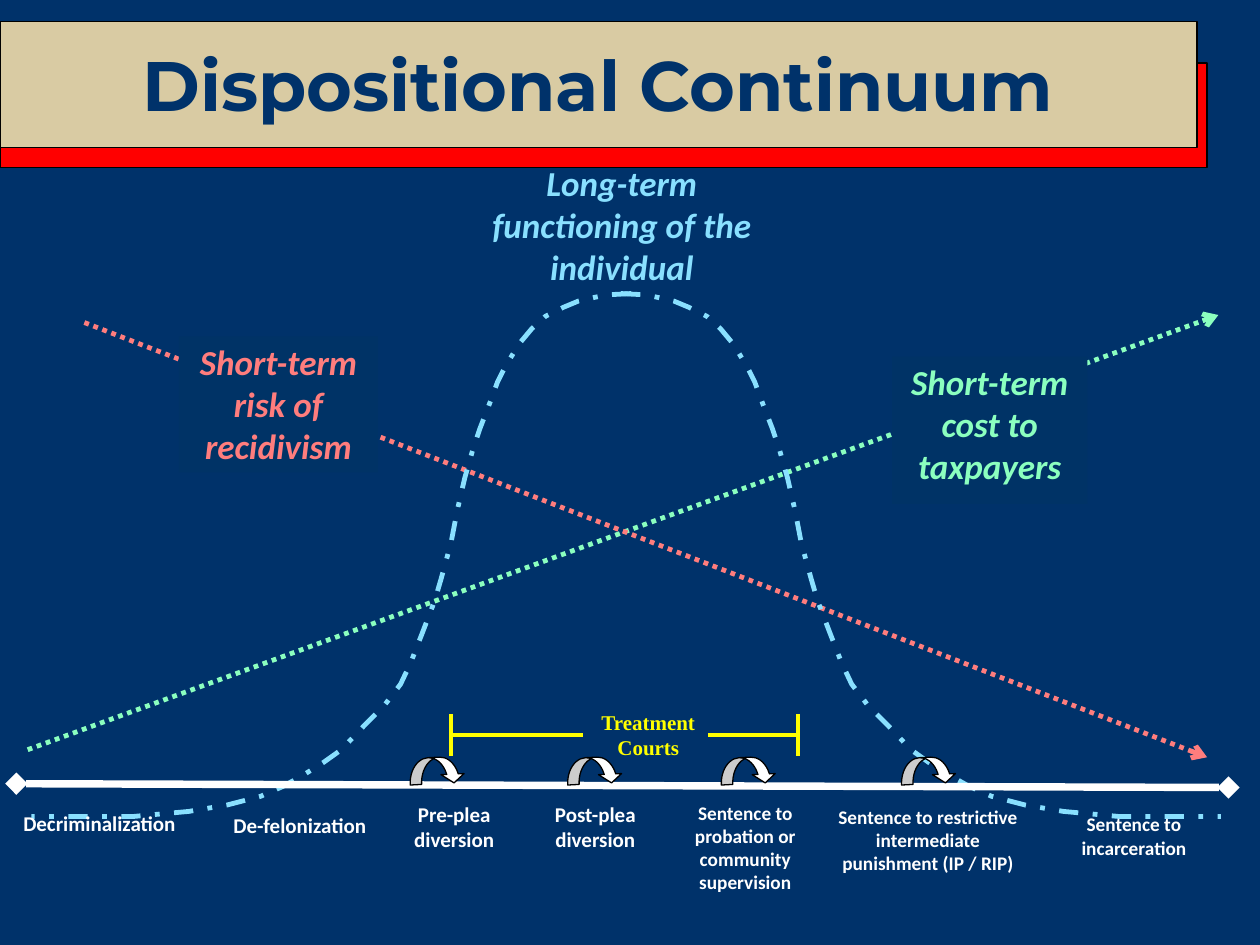
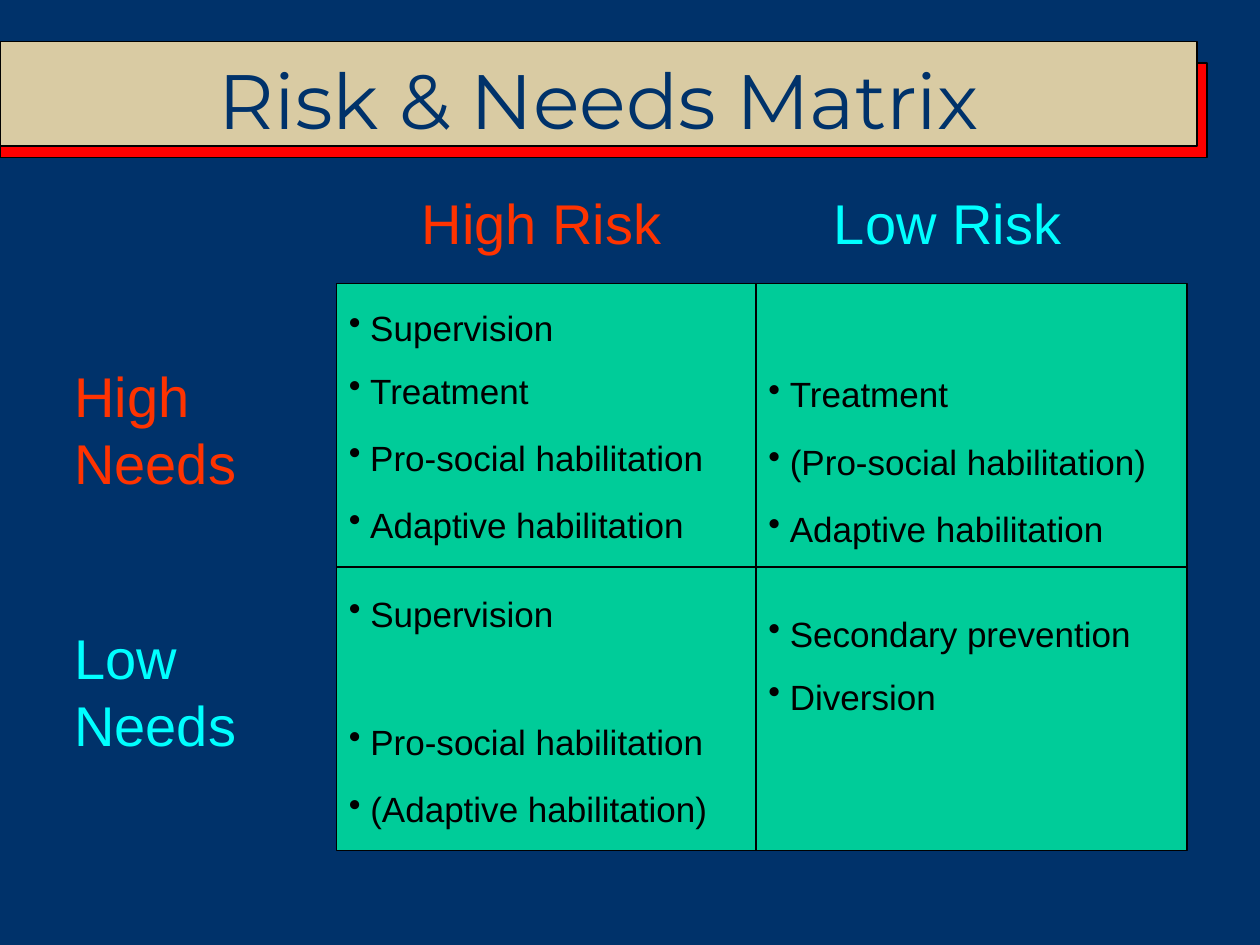
"""Build two slides on the dispositional continuum and the risk and needs matrix."""
from dataclasses import dataclass
from typing import NamedTuple, Optional

from lxml.etree import SubElement
from pptx import Presentation
from pptx.dml.color import RGBColor
from pptx.enum.dml import MSO_LINE
from pptx.enum.shapes import MSO_CONNECTOR, MSO_SHAPE
from pptx.enum.text import MSO_ANCHOR, MSO_AUTO_SIZE, PP_ALIGN
from pptx.oxml.ns import qn
from pptx.util import Inches, Pt

COLORS = {
    "navy": "00326A", "label": "003366", "tan": "D9CBA3", "red": "FF0000",
    "mint": "8BFFBF", "coral": "FF7D7D", "sky": "89E0FF", "yellow": "FFFF00",
    "high": "FF3300", "low": "00FFFF", "green": "00CC99",
    "white": "FFFFFF", "black": "000000",
}


class Area(NamedTuple):
    left: float
    top: float
    width: float
    height: float


class Point(NamedTuple):
    x: float
    y: float


@dataclass
class Style:
    font: str
    size: float
    color: str
    bold: bool = False
    italic: bool = False
    align: PP_ALIGN = PP_ALIGN.LEFT
    margins: tuple[float, float] = (0.1, 0.05)
    wrap: bool = True
    anchor: MSO_ANCHOR = MSO_ANCHOR.TOP


@dataclass
class Label:
    text: str
    area: Area
    style: Style


@dataclass
class Stroke:
    color: str
    width: float
    dash: Optional[MSO_LINE] = None
    head: Optional[str] = None
    tail: Optional[str] = None


@dataclass
class Bullet:
    text: str
    line_spacing: float
    space_before: float = 12


@dataclass
class Quadrant:
    area: Area
    bullets: list[Bullet]


BORDER = Stroke("black", 0.75)
BRACKET = Stroke("yellow", 2.25)
CURVE = Stroke("sky", 2.75, MSO_LINE.DASH_DOT)
TREND_LABEL_MARGINS = (0.07, 0.03)
MATRIX_TEXT = Style("Arial", 20, "black", wrap=False)

CURVE_MIRROR_SUM = 9.94
LEFT_CURVE = [
    Point(*pair) for pair in (
        (5.01, 2.33), (4.82, 2.34), (4.72, 2.36), (4.59, 2.39), (4.47, 2.44),
        (4.33, 2.51), (4.22, 2.61), (4.12, 2.73), (4.01, 2.91), (3.95, 3.03),
        (3.88, 3.22), (3.81, 3.4), (3.75, 3.58), (3.69, 3.79), (3.63, 4.05),
        (3.58, 4.31), (3.5, 4.6), (3.45, 4.77), (3.35, 5.03), (3.26, 5.26),
        (3.18, 5.43), (3.05, 5.6), (2.89, 5.76), (2.71, 5.95), (2.57, 6.05),
        (2.41, 6.15), (2.25, 6.24), (2.07, 6.32), (1.8, 6.39), (1.5, 6.44),
        (1.17, 6.47), (1.06, 6.48), (0.25, 6.48),
    )
]


def rgb(name: str) -> RGBColor:
    return RGBColor.from_string(COLORS[name])


def inches(values: tuple) -> list:
    return [Inches(value) for value in values]


def apply_stroke(line, stroke: Stroke) -> None:
    line.color.rgb = rgb(stroke.color)
    line.width = Pt(stroke.width)
    if stroke.dash is not None:
        line.dash_style = stroke.dash


def write_text(box, text: str, style: Style) -> None:
    frame = box.text_frame
    frame.text = text
    frame.word_wrap = style.wrap
    frame.auto_size = MSO_AUTO_SIZE.NONE if style.wrap else MSO_AUTO_SIZE.SHAPE_TO_FIT_TEXT
    frame.vertical_anchor = style.anchor
    side, edge = inches(style.margins)
    frame.margin_left = frame.margin_right = side
    frame.margin_top = frame.margin_bottom = edge
    for para in frame.paragraphs:
        para.alignment = style.align
        for span in para.runs:
            span.font.name = style.font
            span.font.size = Pt(style.size)
            span.font.bold = style.bold
            span.font.italic = style.italic
            span.font.color.rgb = rgb(style.color)


def add_label(page, label: Label):
    box = page.shapes.add_textbox(*inches(label.area))
    write_text(box, label.text, label.style)
    return box


def add_preset(page, area: Area, fill: str, stroke: Optional[Stroke] = BORDER,
               kind: MSO_SHAPE = MSO_SHAPE.RECTANGLE):
    shape = page.shapes.add_shape(kind, *inches(area))
    shape.shadow.inherit = False
    shape.fill.solid()
    shape.fill.fore_color.rgb = rgb(fill)
    if stroke:
        apply_stroke(shape.line, stroke)
    else:
        shape.line.fill.background()
    return shape


def add_line(page, start: Point, end: Point, stroke: Stroke) -> None:
    connector = page.shapes.add_connector(MSO_CONNECTOR.STRAIGHT, *inches(start + end))
    apply_stroke(connector.line, stroke)
    outline = connector.line._get_or_add_ln()
    for tag, kind in (("a:headEnd", stroke.head), ("a:tailEnd", stroke.tail)):
        if kind:
            SubElement(outline, qn(tag)).set("type", kind)
    SubElement(connector._element.spPr, qn("a:effectLst"))


def add_curve(page, points: list[Point]) -> None:
    vertices = [tuple(inches(point)) for point in points]
    builder = page.shapes.build_freeform(*vertices[0])
    builder.add_line_segments(vertices[1:], close=False)
    curve = builder.convert_to_shape()
    curve.shadow.inherit = False
    curve.fill.background()
    apply_stroke(curve.line, CURVE)


def add_title(page, title: Label, band: Area, red_height: float) -> None:
    add_preset(page, Area(0, 0.5, 9.58, red_height), "red")
    add_preset(page, band, "tan")
    add_label(page, title)


def add_page(deck):
    page = deck.slides.add_slide(deck.slide_layouts[6])
    page.background.fill.solid()
    page.background.fill.fore_color.rgb = rgb("navy")
    return page


def trend_style(color: str) -> Style:
    return Style("Calibri", 20, color, True, True, PP_ALIGN.CENTER, TREND_LABEL_MARGINS)


def build_continuum(deck) -> None:
    page = add_page(deck)
    trends = [
        (Point(0.22, 5.95), Point(9.67, 2.5), "mint",
         "Short-term cost to taxpayers", Area(7.08, 2.83, 1.55, 1.17)),
        (Point(0.67, 2.56), Point(9.58, 6.01), "coral",
         "Short-term risk of recidivism", Area(1.42, 2.67, 1.58, 1.08)),
    ]
    for start, end, color, _, _ in trends:
        add_line(page, start, end, Stroke(color, 2.75, MSO_LINE.ROUND_DOT, tail="arrow"))
    for _, _, color, text, area in trends:
        write_text(add_preset(page, area, "label", None), text, trend_style(color))

    title_style = Style("Montserrat", 40, "navy", True, align=PP_ALIGN.CENTER,
                        anchor=MSO_ANCHOR.MIDDLE)
    add_title(page, Label("Dispositional Continuum", Area(0.08, 0.25, 9.33, 0.83), title_style),
              Area(0, 0.17, 9.5, 1), 0.83)

    add_curve(page, LEFT_CURVE)
    add_label(page, Label("Long-term functioning of the individual",
                          Area(3.77, 1.25, 2.33, 1.2), trend_style("sky")))
    add_curve(page, [Point(CURVE_MIRROR_SUM - point.x, point.y) for point in LEFT_CURVE])

    add_line(page, Point(0.13, 6.22), Point(9.75, 6.25),
             Stroke("white", 4.25, head="diamond", tail="diamond"))
    stages = [
        ("Pre-plea diversion", 12, Area(3, 6.33, 1.21, 0.24)),
        ("Post-plea diversion", 12, Area(4.12, 6.33, 1.21, 0.35)),
        ("Sentence to incarceration", 11, Area(8.25, 6.42, 1.5, 0.58)),
        ("Sentence to restrictive intermediate punishment (IP / RIP)", 11,
         Area(6.56, 6.36, 1.61, 0.81)),
        ("Sentence to probation or community supervision", 11, Area(5.17, 6.33, 1.49, 0.92)),
        ("Decriminalization", 12, Area(0.08, 6.4, 1.42, 0.35)),
        ("De-felonization", 12, Area(1.67, 6.42, 1.42, 0.35)),
    ]
    for text, size, area in stages:
        style = Style("Calibri", size, "white", True, align=PP_ALIGN.CENTER, margins=(0.06, 0.03))
        add_label(page, Label(text, area, style))
    for left in (3.25, 4.5, 5.72, 7.15):
        arrow = add_preset(page, Area(left, 6.01, 0.44, 0.21), "white",
                           kind=MSO_SHAPE.CURVED_DOWN_ARROW)
        arrow.rotation = 357.2
        for index, value in enumerate((0.435, 0.871, 0.333)):
            arrow.adjustments[index] = value

    court_style = Style("Times New Roman", 12, "yellow", True, align=PP_ALIGN.CENTER, wrap=False)
    add_label(page, Label("Treatment\nCourts", Area(4.67, 5.58, 0.95, 0.5), court_style))
    for outer, inner in ((3.58, 4.63), (6.33, 5.62)):
        add_line(page, Point(outer, 5.83), Point(inner, 5.83), BRACKET)
        add_line(page, Point(outer, 5.67), Point(outer, 6), BRACKET)


def add_quadrant(page, quadrant: Quadrant) -> None:
    text = "\n".join(bullet.text for bullet in quadrant.bullets)
    box = add_label(page, Label(text, quadrant.area, MATRIX_TEXT))
    for para, bullet in zip(box.text_frame.paragraphs, quadrant.bullets):
        para.line_spacing = bullet.line_spacing
        para.space_before = Pt(bullet.space_before)
        properties = para._p.get_or_add_pPr()
        properties.set("marL", str(Inches(0.17)))
        properties.set("indent", str(Inches(-0.17)))
        SubElement(properties, qn("a:buChar")).set("char", "•")


def build_matrix(deck) -> None:
    page = add_page(deck)
    title_style = Style("Montserrat", 44, "navy", align=PP_ALIGN.CENTER)
    add_title(page, Label("Risk & Needs Matrix", Area(-0.08, 0.37, 9.67, 0.83), title_style),
              Area(0, 0.33, 9.5, 0.83), 0.75)

    matrix = Area(2.67, 2.25, 6.75, 4.5)
    right, bottom = matrix.left + matrix.width, matrix.top + matrix.height
    middle_x, middle_y = 6, matrix.top + matrix.height / 2
    add_preset(page, matrix, "green")
    add_line(page, Point(middle_x, matrix.top), Point(middle_x, bottom), BORDER)
    add_line(page, Point(matrix.left, middle_y), Point(right, middle_y), BORDER)

    headings = [
        ("High Risk", "high", Area(3.25, 1.45, 2.25, 0.63)),
        ("Low Risk", "low", Area(6.52, 1.45, 2.15, 0.63)),
        ("High\nNeeds", "high", Area(0.49, 2.82, 1.55, 1.18)),
        ("Low\nNeeds", "low", Area(0.49, 4.9, 1.55, 1.18)),
    ]
    for text, color, area in headings:
        add_label(page, Label(text, area, Style("Arial", 32, color, wrap=False)))

    quadrants = [
        Quadrant(Area(matrix.left, 2.33, 3.3, 2.07), [
            Bullet("Supervision", 1.15), Bullet("Treatment", 1),
            Bullet("Pro-social habilitation", 1.1), Bullet("Adaptive habilitation", 1.1)]),
        Quadrant(Area(middle_x, 2.86, 3.49, 1.59), [
            Bullet("Treatment", 1.15), Bullet("(Pro-social habilitation)", 1.1),
            Bullet("Adaptive habilitation", 1.1)]),
        Quadrant(Area(matrix.left, 4.6, 3.08, 2.07), [
            Bullet("Supervision", 1.15), Bullet("Pro-social habilitation", 1.1, 47),
            Bullet("(Adaptive habilitation)", 1.1)]),
        Quadrant(Area(middle_x, 4.76, 3.32, 0.99), [
            Bullet("Secondary prevention", 1.15), Bullet("Diversion", 1)]),
    ]
    for quadrant in quadrants:
        add_quadrant(page, quadrant)


def main() -> None:
    deck = Presentation()
    deck.slide_width, deck.slide_height = Inches(10), Inches(7.5)
    build_continuum(deck)
    build_matrix(deck)
    deck.save("out.pptx")


if __name__ == "__main__":
    main()
